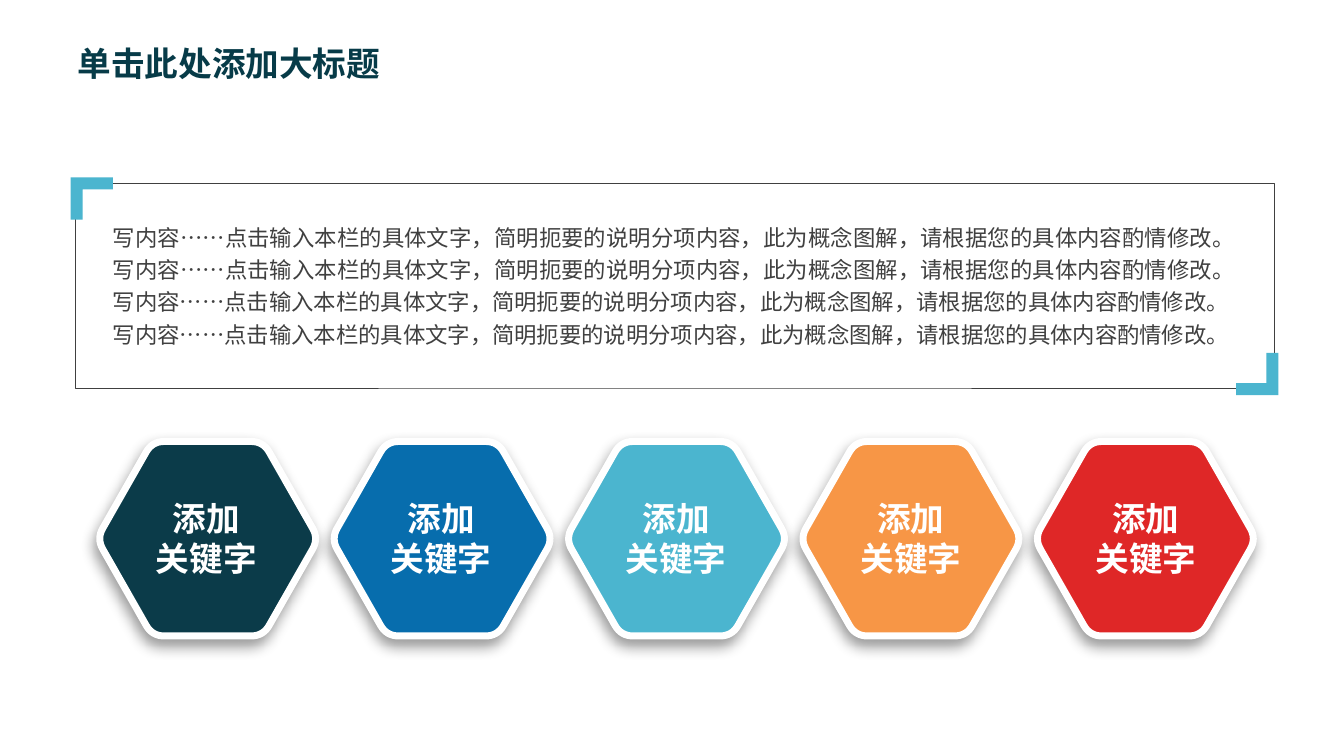
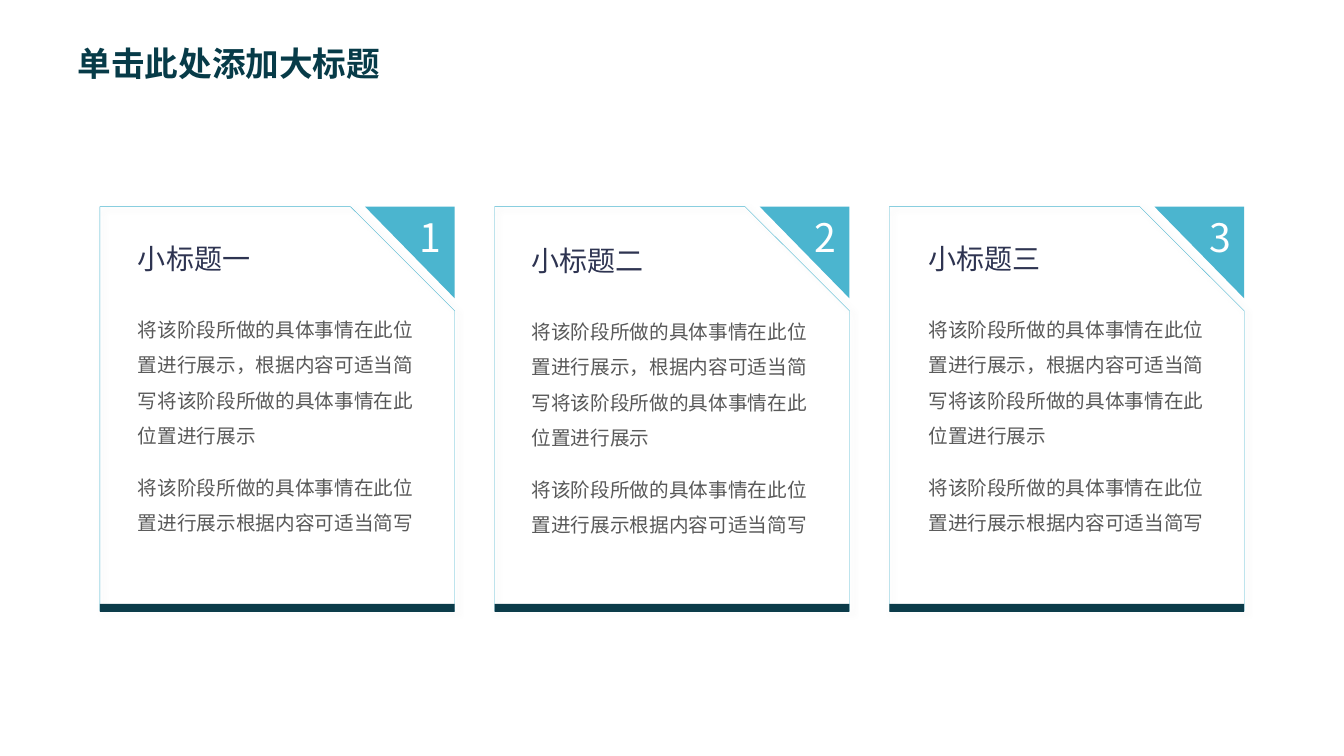
from math import hypot

from lxml.etree import SubElement
from pptx import Presentation
from pptx.dml.color import RGBColor
from pptx.enum.shapes import MSO_SHAPE as Shape
from pptx.enum.text import MSO_ANCHOR as Anchor, MSO_AUTO_SIZE as AutoSize, PP_ALIGN as Align
from pptx.oxml.ns import qn
from pptx.util import Inches, Pt

FONT = "Noto Sans CJK SC"
INK, NAVY, CYAN, WHITE = "073B48", "0B3B49", "4BB5CF", "FFFFFF"

TITLE = "单击此处添加大标题"
SENTENCE = "写内容……点击输入本栏的具体文字，简明扼要的说明分项内容，此为概念图解，请根据您的具体内容酌情修改。"
INTRO = [SENTENCE * 3, SENTENCE]
KEYWORD = ["添加", "关键字"]
HEXAGON_COLOURS = [NAVY, "076DAD", CYAN, "F79646", "DF2727"]

# number, heading, offset of the text inside the card
CARDS = [
    ("1", "小标题一", (0.28, 0.3)),
    ("2", "小标题二", (0.27, 0.32)),
    ("3", "小标题三", (0.29, 0.3)),
]
CARD_BODY = [
    "将该阶段所做的具体事情在此位置进行展示，根据内容可适当简写将该阶段所做的具体事情在此位置进行展示",
    "将该阶段所做的具体事情在此位置进行展示根据内容可适当简写",
]

TITLE_STYLE = dict(size=24, colour=INK, bold=True)
INTRO_STYLE = dict(size=16, colour="404040")
KEYWORD_STYLE = dict(size=24, colour=WHITE, bold=True)
NUMBER_STYLE = dict(size=28, colour=WHITE)
HEADING_STYLE = dict(size=20, colour="2E3451")
BODY_STYLE = dict(size=14, colour="595959")
NO_INSETS = (0, 0, 0, 0)
HEXAGON_SHADOW = dict(colour="000000", opacity=40, blur=10, distance=5, angle=110)
CARD_SHADOW = dict(colour="A6A6A6", opacity=40, blur=4, distance=3, angle=45)


def rgb(colour):
    return RGBColor.from_string(colour)


def write(box, texts, style, align=Align.LEFT, insets=(0.1, 0.05, 0.1, 0.05),
          anchor=Anchor.TOP, fit=AutoSize.NONE, gap=0, **spacing):
    """Fill a shape with paragraphs; gap is the space between them in points."""
    frame = box.text_frame
    sides = zip(("left", "top", "right", "bottom"), insets)
    layout = {f"margin_{side}": Inches(inset) for side, inset in sides}
    layout |= dict(word_wrap=True, vertical_anchor=anchor, auto_size=fit)
    for name, value in layout.items():
        setattr(frame, name, value)
    for index, text in enumerate(texts):
        para = frame.add_paragraph() if index else frame.paragraphs[0]
        settings = dict(alignment=align, space_before=Pt(gap if index else 0), **spacing)
        for name, value in settings.items():
            setattr(para, name, value)
        span = para.add_run()
        span.text = text
        font = span.font
        font.name, font.size = FONT, Pt(style["size"])
        font.bold = style.get("bold", False)
        font.color.rgb = rgb(style["colour"])
        SubElement(font._element, qn("a:ea"), typeface=FONT)


def add_text(slide, area, texts, style, **layout):
    box = slide.shapes.add_textbox(*map(Inches, area))
    write(box, texts, style, fit=AutoSize.SHAPE_TO_FIT_TEXT, **layout)


def paint(shape, fill=None, line=None, shadow=None):
    """Set fill colour, (colour, width) line and shadow; None means none."""
    if fill:
        shape.fill.solid()
        shape.fill.fore_color.rgb = rgb(fill)
    else:
        shape.fill.background()
    if line:
        shape.line.color.rgb, shape.line.width = rgb(line[0]), Pt(line[1])
    else:
        shape.line.fill.background()
    shape.shadow.inherit = False
    if shadow:
        effects = shape._element.spPr.find(qn("a:effectLst"))
        outer = SubElement(effects, qn("a:outerShdw"), blurRad=str(Pt(shadow["blur"])),
                           dist=str(Pt(shadow["distance"])),
                           dir=str(shadow["angle"] * 60000), algn="ctr", rotWithShape="0")
        tint = SubElement(outer, qn("a:srgbClr"), val=shadow["colour"])
        SubElement(tint, qn("a:alpha"), val=str(shadow["opacity"] * 1000))
    return shape


def add_preset(slide, kind, area, **look):
    return paint(slide.shapes.add_shape(kind, *map(Inches, area)), **look)


def add_outline(slide, points, **look):
    first, *rest = [(Inches(x), Inches(y)) for x, y in points]
    builder = slide.shapes.build_freeform(*first)
    builder.add_line_segments(rest, close=True)
    return paint(builder.convert_to_shape(), **look)


def rounded(corners, cut=0.12, steps=8):
    """Replace each corner by a quadratic curve starting cut inches away from it."""
    points = []
    for index, (x, y) in enumerate(corners):
        ends = []
        for near_x, near_y in (corners[index - 1], corners[(index + 1) % len(corners)]):
            share = cut / hypot(near_x - x, near_y - y)
            ends.append((x + (near_x - x) * share, y + (near_y - y) * share))
        (ax, ay), (bx, by) = ends
        for step in range(steps + 1):
            t = step / steps
            a, c, b = (1 - t) ** 2, 2 * t * (1 - t), t * t
            points.append((a * ax + c * x + b * bx, a * ay + c * y + b * by))
    return points


def add_slide(deck):
    slide = deck.slides.add_slide(deck.slide_layouts[5])
    title = slide.shapes.title
    title.left, title.top, title.width, title.height = map(Inches, (0.66, 0.24, 9.32, 0.77))
    write(title, [TITLE], TITLE_STYLE, insets=(0.11, 0.04, 0.08, 0.04), anchor=Anchor.MIDDLE)
    return slide


def add_bracket(slide, x, y, direction, arm=0.42, thick=0.12):
    """Corner bracket with its tip at x, y, opening right-down (1) or left-up (-1)."""
    offsets = [(0, 0), (arm, 0), (arm, thick), (thick, thick), (thick, arm), (0, arm)]
    add_outline(slide, [(x + direction * dx, y + direction * dy) for dx, dy in offsets],
                fill=CYAN)


def add_hexagon(slide, centre_x, centre_y, colour, radius=1.1, half_height=0.965):
    half = radius / 2
    offsets = [(-half, -1), (half, -1), (radius, 0), (half, 1), (-half, 1), (-radius, 0)]
    corners = [(centre_x + dx, centre_y + dy * half_height) for dx, dy in offsets]
    add_outline(slide, rounded(corners), fill=colour, line=(WHITE, 5), shadow=HEXAGON_SHADOW)


def build_keywords(deck):
    slide = add_slide(deck)
    add_preset(slide, Shape.RECTANGLE, (0.75, 1.82, 11.89, 2.03), line=("404040", 0.25))
    add_text(slide, (1.12, 2.17, 11.14, 1.29), INTRO, INTRO_STYLE,
             align=Align.JUSTIFY, insets=NO_INSETS, line_spacing=1.2)
    add_bracket(slide, 0.7, 1.76, 1)
    add_bracket(slide, 12.68, 3.92, -1)
    for column, colour in enumerate(HEXAGON_COLOURS):
        add_hexagon(slide, 2.06 + 2.325 * column, 5.345, colour)
        add_text(slide, (1.34 + 2.33 * column, 4.94, 1.41, 0.81), KEYWORD, KEYWORD_STYLE,
                 align=Align.CENTER, insets=NO_INSETS)


def build_cards(deck):
    slide = add_slide(deck)
    top, width, height, bar = 2.05, 3.52, 4.01, 0.08
    for column, (number, heading, (dx, dy)) in enumerate(CARDS):
        left = 0.99 + 3.915 * column
        right = left + width
        card = add_preset(slide, Shape.SNIP_1_RECTANGLE, (left, top, width, height),
                          line=(CYAN, 0.25), shadow=CARD_SHADOW)
        card.adjustments[0] = 0.294
        add_preset(slide, Shape.RECTANGLE, (left, 5.99, width, bar), fill=NAVY)
        flag = add_outline(slide, [(right, top), (right - 0.89, top), (right, top + 0.91)],
                           fill=CYAN)
        write(flag, [number], NUMBER_STYLE, align=Align.RIGHT, insets=(0.13, 0.07, 0.13, 0.07))
        x, y = left + dx, top + dy
        add_text(slide, (x, y, 2.61, 0.44), [heading], HEADING_STYLE)
        add_text(slide, (x, y + 0.64, 2.98, 2.39), CARD_BODY, BODY_STYLE,
                 gap=12, line_spacing=1.5)


def main():
    deck = Presentation()
    deck.slide_width, deck.slide_height = Inches(13.33), Inches(7.5)
    build_keywords(deck)
    build_cards(deck)
    deck.save("out.pptx")


if __name__ == "__main__":
    main()
